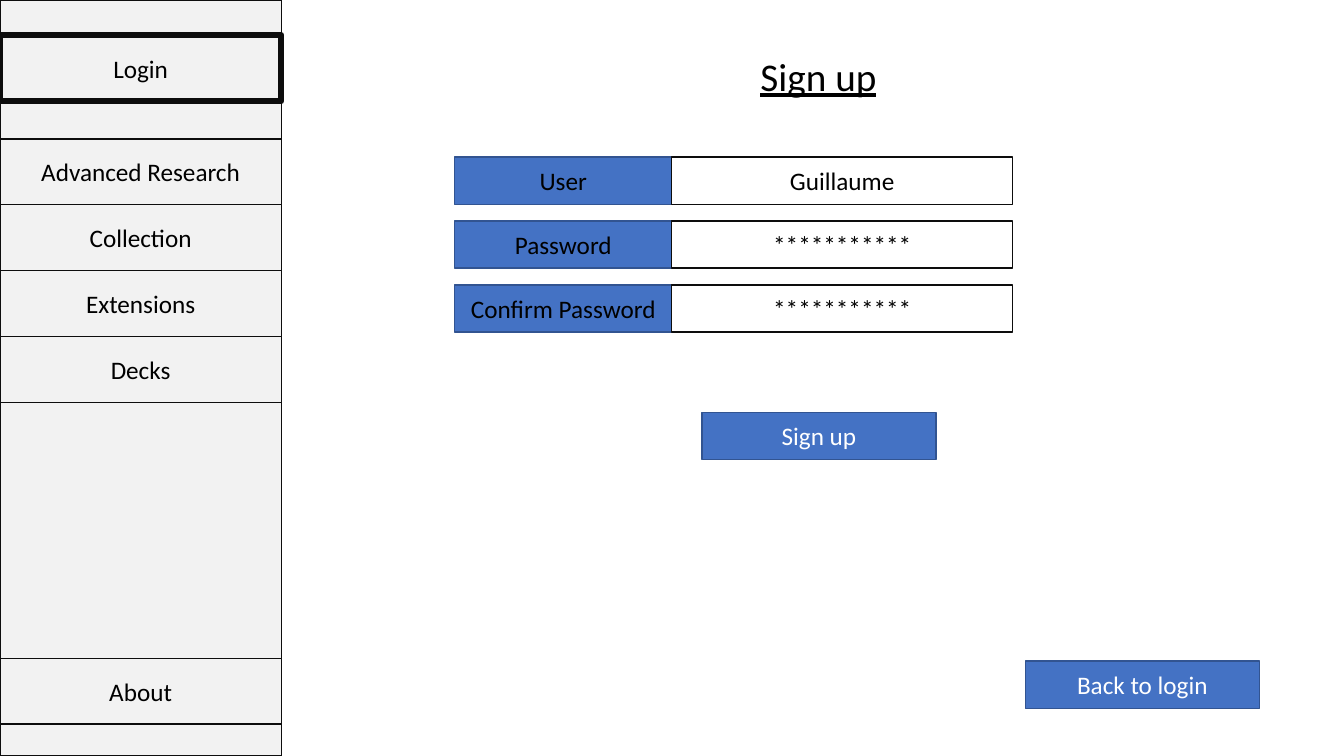
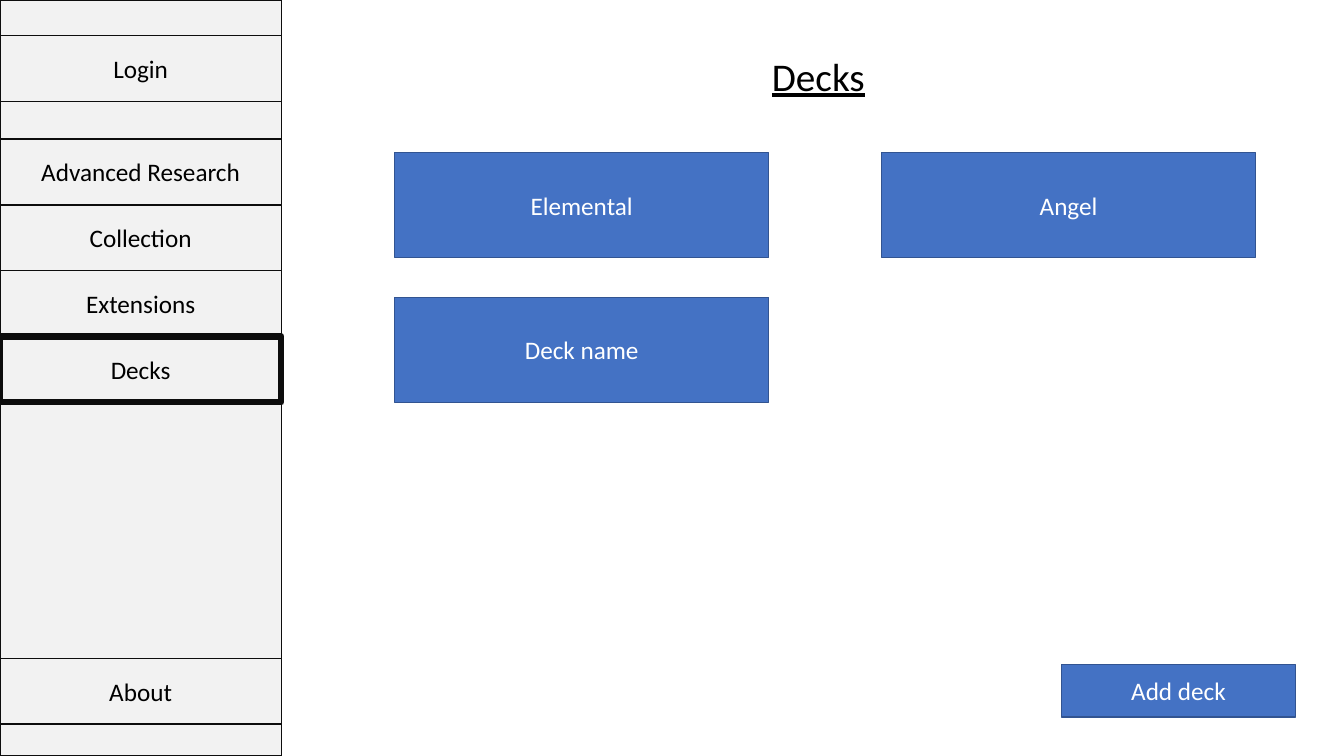
from pptx import Presentation
from pptx.dml.color import RGBColor
from pptx.enum.shapes import MSO_SHAPE
from pptx.enum.text import MSO_ANCHOR, PP_ALIGN
from pptx.util import Cm, Pt

FONT = "Calibri"
COLORS = {
    "panel": "F2F2F2",
    "edge": "0D0D0D",
    "blue": "4472C4",
    "navy": "325491",
    "white": "FFFFFF",
    "black": "000000",
}
SIDE = 7.09
ITEM = 1.66
MENU = {
    "Login": 0.89,
    "Collection": 3.5 + ITEM,
    "Extensions": 3.5 + 2 * ITEM,
    "Advanced Research": 3.5,
    "Decks": 3.5 + 3 * ITEM,
    "About": 16.59,
}


def color(name):
    return RGBColor.from_string(COLORS[name])


def write(frame, text, size, ink, line=None):
    """Put one centred run into a text frame."""
    frame.word_wrap = True
    para = frame.paragraphs[0]
    para.alignment = PP_ALIGN.CENTER
    run = para.add_run()
    run.text = text
    font = run.font
    font.name = FONT
    font.size = Pt(size)
    font.underline = line
    font.color.rgb = color(ink)


def box(slide, rect, fill, edge, text="", ink="black", width=1):
    shape = slide.shapes.add_shape(MSO_SHAPE.RECTANGLE, *map(Cm, rect))
    shape.shadow.inherit = False
    shape.fill.solid()
    shape.fill.fore_color.rgb = color(fill)
    shape.line.color.rgb = color(edge)
    shape.line.width = Pt(width)
    if text:
        shape.text_frame.vertical_anchor = MSO_ANCHOR.MIDDLE
        write(shape.text_frame, text, 18, ink)


def button(slide, rect, text):
    box(slide, rect, "blue", "navy", text, "white")


def field(slide, top, label, value):
    box(slide, (11.46, top, 5.47, 1.19), "blue", "navy", label)
    box(slide, (16.93, top, 8.59, 1.19), "white", "edge", value)


def menu(slide, active, thin):
    """Draw the side bar, with a heavy frame on the active item."""
    box(slide, (0, 0, SIDE, 19.05), "panel", "edge")
    for name, top in MENU.items():
        width = 4.5 if name == active else 0.25 if name in thin else 1
        box(slide, (0, top, SIDE, ITEM), "panel", "edge", name, width=width)


def page(deck, title, active, thin=()):
    slide = deck.slides.add_slide(deck.slide_layouts[6])
    menu(slide, active, thin)
    head = slide.shapes.add_textbox(Cm(13.97), Cm(1.19), Cm(13.31), Cm(1.45))
    write(head.text_frame, title, 28, "black", True)
    return slide


def signup(deck):
    slide = page(deck, "Sign up", "Login")
    stars = "*" * 11
    rows = [("User", "Guillaume"), ("Password", stars),
            ("Confirm Password", stars)]
    for row, (label, value) in enumerate(rows):
        field(slide, 3.96 + row * 1.61, label, value)
    button(slide, (17.69, 10.39, 5.9, 1.19), "Sign up")
    button(slide, (25.84, 16.66, 5.9, 1.19), "Back to login")


def decks(deck):
    slide = page(deck, "Decks", "Decks", ("Login", "Collection", "Extensions"))
    for spot, name in enumerate(["Elemental", "Angel", "Deck name"]):
        row, col = divmod(spot, 2)
        rect = (9.95 + col * 12.27, 3.84 + row * 3.65, 9.42, 2.65)
        button(slide, rect, name)
    button(slide, (26.75, 16.75, 5.9, 1.32), "Add deck")


def main():
    deck = Presentation()
    deck.slide_width = Cm(33.87)
    deck.slide_height = Cm(19.05)
    signup(deck)
    decks(deck)
    deck.save("out.pptx")


if __name__ == "__main__":
    main()
